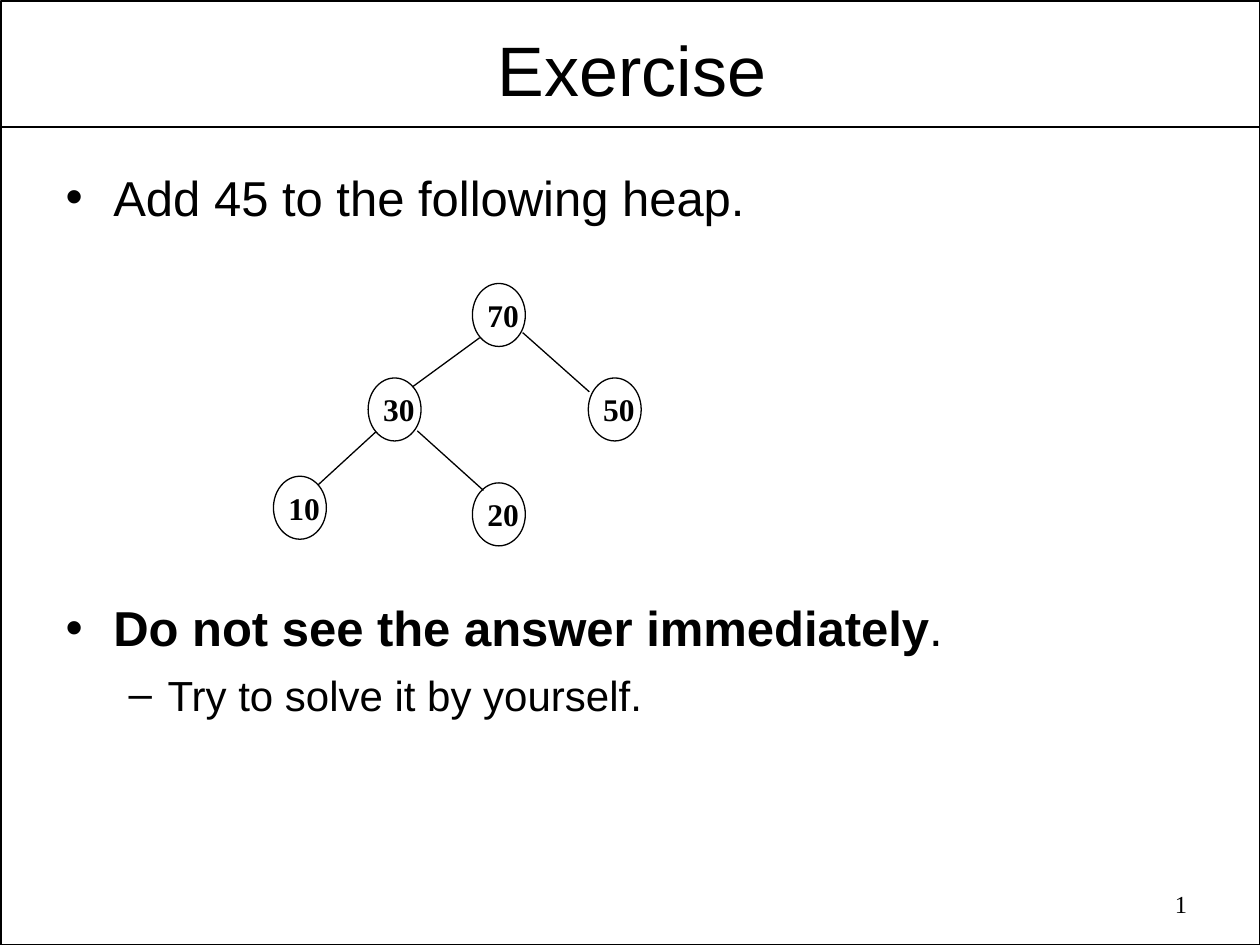
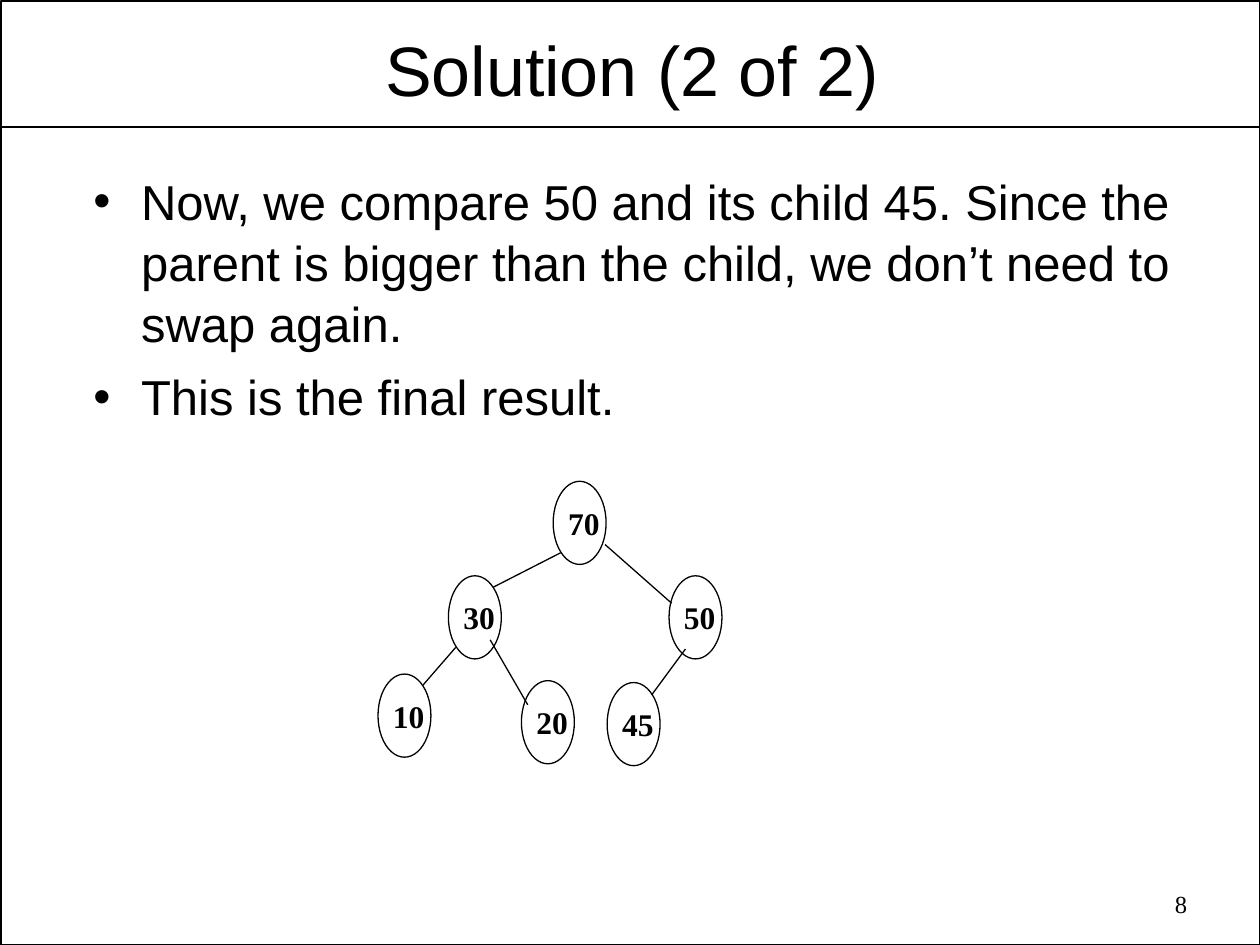
import lxml.etree
import pptx
import pptx.dml.color
import pptx.enum.shapes
import pptx.enum.text
import pptx.oxml.ns
import pptx.util

COLORS = {"ink": "000000"}
CELL = 0.1  # the slide is a grid of 100 columns by 75 rows
ALIGN = pptx.enum.text.PP_ALIGN
ANCHOR = pptx.enum.text.MSO_ANCHOR
AUTO_SIZE = pptx.enum.text.MSO_AUTO_SIZE
SHAPE = pptx.enum.shapes.MSO_SHAPE

# Grid boxes: left, top, width, height
FRAME_BOX = (0.1, 0.1, 99.9, 74.9)
TITLE_BOX = (5.3, 1.9, 89.7, 7.2)
NUMBER_BOX = (71.8, 70.1, 23.4, 3.6)
TITLE_RULE_ROW = 10.1

# Text formats
TITLE_FONT = {"size": 40, "name": "Arial", "bold": False}
NUMBER_FONT = {"size": 14, "name": "Times New Roman", "bold": False}
KEY_FONT = {"size": 18, "name": "Times New Roman", "bold": True}
LEVELS = [
    {"size": 28, "bullet": "•", "indent": 0.38, "hang": 0.38, "before": 7},
    {"size": 24, "bullet": "–", "indent": 0.81, "hang": 0.31, "before": 6},
]
LIST_LINE_SPACING = 1.04

# Heap drawing: a column is one node wide, a row is one tree level
NODE_WIDTH, LEVEL_HEIGHT = 4.2, 7.5
KEY_SHIFT, KEY_SIZE = 0.2, (4.5, 4)
# Edge ends, as shares of the parent node and of the child node
LEFT_EDGE = ((0.14, 0.86), (0.84, 0.14))

SLIDES = [
    {
        "title": "Exercise",
        "number": "1",
        "list_box": (4.2, 12.6, 91.7, 54.9),
        # level, space before, runs of (words, bold)
        "points": [
            (0, None, [("Add 45 to the following heap.", False)]),
            (0, 211, [("Do not see the answer immediately", True), (".", False)]),
            (1, None, [("Try to solve it by yourself.", False)]),
        ],
        "tree_at": (21.7, 22.5),
        "node_height": 5,
        "nodes": {"70": (3.76, 0), "30": (1.79, 1), "50": (5.95, 1),
                  "10": (0, 2.04), "20": (3.76, 2.11)},
        "edges": [("70", "30", LEFT_EDGE), ("30", "10", LEFT_EDGE),
                  ("70", "50", ((0.95, 0.78), (0.02, 0.22))),
                  ("30", "20", ((0.93, 0.84), (0.21, 0.12)))],
    },
    {
        "title": "Solution (2 of 2)",
        "number": "8",
        "list_box": (6.4, 12.9, 91.7, 22.1),
        "points": [
            (0, None, [("Now, we compare 50 and its child 45. Since the parent is bigger "
                        "than the child, we don’t need to swap again.", False)]),
            (0, None, [("This is the final result.", False)]),
        ],
        "tree_at": (30, 38.2),
        "node_height": 6.6,
        "nodes": {"70": (3.31, 0), "30": (1.33, 1), "50": (5.5, 1),
                  "10": (0, 2.04), "20": (2.71, 2.11), "45": (4.33, 2.13)},
        "edges": [("70", "30", LEFT_EDGE), ("30", "10", LEFT_EDGE),
                  ("70", "50", ((0.98, 0.76), (0.05, 0.33))),
                  ("30", "20", ((0.79, 0.77), (0.12, 0.29))),
                  ("50", "45", ((0.31, 0.88), (0.84, 0.15)))],
    },
]


def cells(*counts):
    """Turn grid counts into lengths."""
    return [pptx.util.Inches(count * CELL) for count in counts]


def ink():
    return pptx.dml.color.RGBColor.from_string(COLORS["ink"])


def place(part, box):
    for side, length in zip(("left", "top", "width", "height"), cells(*box)):
        setattr(part, side, length)


def style_font(font, style):
    for name, value in style.items():
        setattr(font, name, pptx.util.Pt(value) if name == "size" else value)
    font.color.rgb = ink()


def style_frame(frame, formats):
    for name, value in formats.items():
        setattr(frame, name, value)


def draw_outline(shapes, preset, box, weight):
    outline = shapes.add_shape(preset, *cells(*box))
    outline.shadow.inherit = False
    outline.fill.background()
    outline.line.color.rgb = ink()
    outline.line.width = pptx.util.Pt(weight)
    return outline


def draw_line(shapes, start, end, weight):
    line = shapes.add_connector(pptx.enum.shapes.MSO_CONNECTOR.STRAIGHT, *cells(*start, *end))
    line.line.color.rgb = ink()
    line.line.width = pptx.util.Pt(weight)
    properties = line.element.find(pptx.oxml.ns.qn("p:spPr"))
    lxml.etree.SubElement(properties, pptx.oxml.ns.qn("a:effectLst"))
    return line


def add_words(shapes, words, box, style, align, wrap):
    words_box = shapes.add_textbox(*cells(*box))
    words_box.text_frame.word_wrap = wrap
    paragraph = words_box.text_frame.paragraphs[0]
    paragraph.alignment = align
    run = paragraph.add_run()
    run.text = words
    style_font(run.font, style)


def move_frame_to_layout(slide, layout):
    """Draw the border and title rule, then hand them to the shared layout."""
    left, _, width, _ = FRAME_BOX
    border = draw_outline(slide.shapes, SHAPE.RECTANGLE, FRAME_BOX, 1)
    rule = draw_line(slide.shapes, (left, TITLE_RULE_ROW), (width, TITLE_RULE_ROW), 1)
    for position, part in enumerate((border, rule), start=2):
        layout.shapes.element.insert(position, part.element)


def fill_title(title, words):
    place(title, TITLE_BOX)
    side, edge = pptx.util.Inches(0.07), pptx.util.Inches(0.03)
    style_frame(title.text_frame, {
        "text": words, "auto_size": AUTO_SIZE.NONE, "vertical_anchor": ANCHOR.BOTTOM,
        "margin_left": side, "margin_right": side, "margin_top": edge, "margin_bottom": edge})
    paragraph = title.text_frame.paragraphs[0]
    paragraph.alignment = ALIGN.CENTER
    style_font(paragraph.runs[0].font, TITLE_FONT)


def set_bullet(paragraph, level):
    properties = paragraph._p.get_or_add_pPr()
    properties.set("marL", str(pptx.util.Inches(level["indent"])))
    properties.set("indent", str(-pptx.util.Inches(level["hang"])))
    bullet = lxml.etree.SubElement(properties, pptx.oxml.ns.qn("a:buChar"))
    bullet.set("char", level["bullet"])


def fill_list(body, box, points):
    place(body, box)
    frame = body.text_frame
    style_frame(frame, {"auto_size": AUTO_SIZE.NONE, "vertical_anchor": ANCHOR.TOP,
                        "word_wrap": True})
    for index, (depth, gap, runs) in enumerate(points):
        level = LEVELS[depth]
        paragraph = frame.add_paragraph() if index else frame.paragraphs[0]
        set_bullet(paragraph, level)
        paragraph.level = depth
        paragraph.line_spacing = LIST_LINE_SPACING
        paragraph.space_before = pptx.util.Pt((gap or level["before"]) if index else 0)
        for words, bold in runs:
            run = paragraph.add_run()
            run.text = words
            style_font(run.font, {"size": level["size"], "name": "Arial", "bold": bold})


def draw_node(shapes, key, box):
    """Group a key with the oval around it."""
    left, top, _, height = box
    key_width, key_height = KEY_SIZE
    node = shapes.add_group_shape()
    key_box = (left + KEY_SHIFT, top + (height - key_height) / 2, key_width, key_height)
    add_words(node.shapes, key, key_box, KEY_FONT, ALIGN.LEFT, False)
    draw_outline(node.shapes, SHAPE.OVAL, box, 0.75)


def point_on(box, share):
    left, top, width, height = box
    return left + share[0] * width, top + share[1] * height


def draw_heap(shapes, tree_at, node_height, nodes, edges):
    left, top = tree_at
    boxes = {key: (left + column * NODE_WIDTH, top + row * LEVEL_HEIGHT,
                   NODE_WIDTH, node_height)
             for key, (column, row) in nodes.items()}
    for key, box in boxes.items():
        draw_node(shapes, key, box)
    for parent, child, (start, end) in edges:
        draw_line(shapes, point_on(boxes[parent], start), point_on(boxes[child], end), 0.75)


def build_slide(deck, layout, content):
    slide = deck.slides.add_slide(layout)
    fill_title(slide.shapes.title, content["title"])
    fill_list(slide.placeholders[1], content["list_box"], content["points"])
    add_words(slide.shapes, content["number"], NUMBER_BOX, NUMBER_FONT, ALIGN.RIGHT, True)
    draw_heap(slide.shapes, content["tree_at"], content["node_height"],
              content["nodes"], content["edges"])
    return slide


def main():
    deck = pptx.Presentation()
    deck.slide_width, deck.slide_height = cells(100, 75)
    layout = deck.slide_layouts[1]
    slides = [build_slide(deck, layout, content) for content in SLIDES]
    move_frame_to_layout(slides[0], layout)
    deck.save("out.pptx")


if __name__ == "__main__":
    main()
